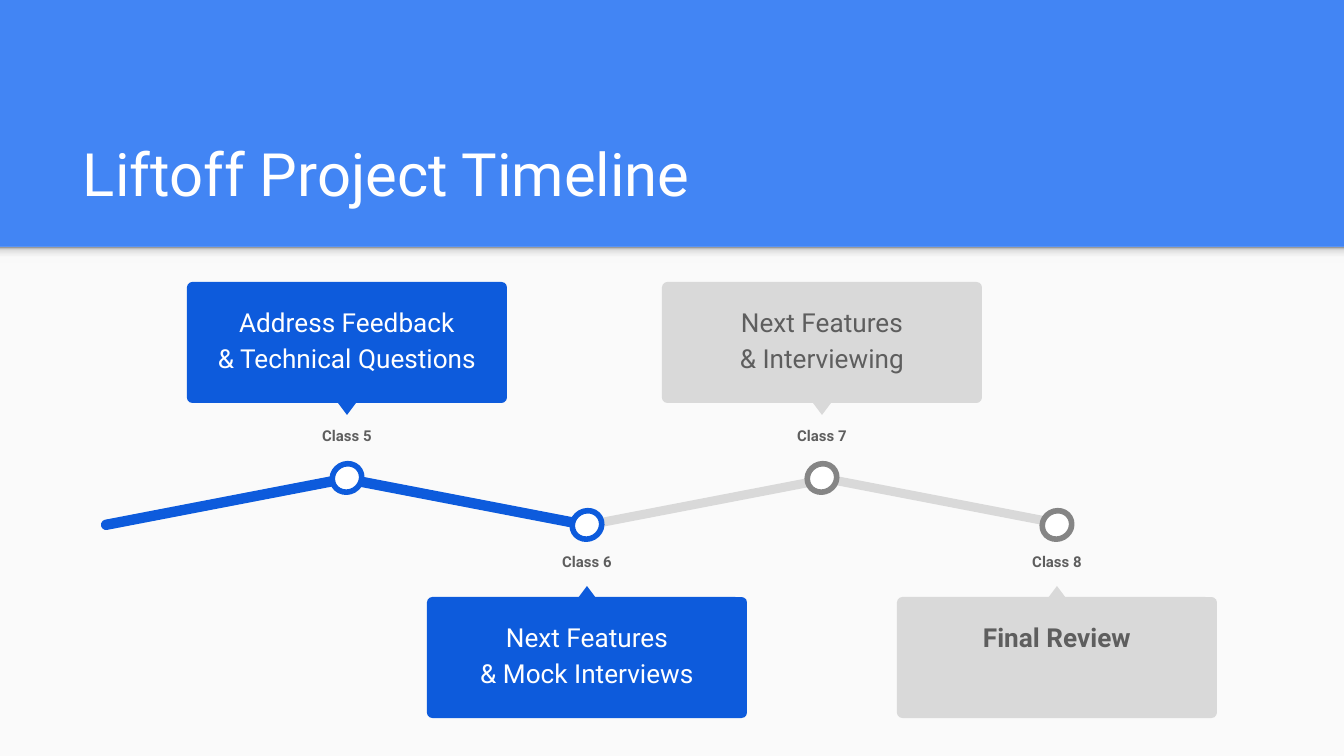
from typing import NamedTuple

from lxml.etree import SubElement
from pptx import Presentation
from pptx.dml.color import RGBColor
from pptx.enum.shapes import MSO_SHAPE as Kind
from pptx.enum.text import MSO_ANCHOR as Anchor, PP_ALIGN as Align
from pptx.oxml.ns import qn
from pptx.util import Emu, Pt

WIDE, HIGH = 1344, 756
SCALE = 9144000 / WIDE
BLUE, GRAY, DARK = "0D5BDC", "D9D9D9", "5E5E5E"
RING, WHITE, PAPER, SKY = "858585", "FFFFFF", "FAFAFA", "4285F4"
FONT = "Roboto"
BAND = 247
TILT = 10.9


class Stop(NamedTuple):
    name: str
    text: str
    x: int
    bar: int
    high: bool
    done: bool
    bold: bool = False


STOPS = [
    Stop("Class 5", "Address Feedback\v& Technical Questions", 347, 225, True, True),
    Stop("Class 6", "Next Features\v& Mock Interviews", 587, 466, False, True),
    Stop("Class 7", "Next Features\v& Interviewing", 822, 708, True, False),
    Stop("Class 8", "Final Review", 1057, 947, False, False, True),
]


def px(n: float) -> Emu:
    return Emu(round(n * SCALE))


def color(code: str) -> RGBColor:
    return RGBColor.from_string(code)


def draw(kind, x: float, y: float, w: int, h: int, fill: str,
         line: str = "", width: float = 0.75, turn: float = 0):
    shape = page.shapes.add_shape(kind, px(x), px(y), px(w), px(h))
    shape.shadow.inherit = False
    shape.rotation = turn
    shape.fill.solid()
    shape.fill.fore_color.rgb = color(fill)
    if line:
        shape.line.color.rgb = color(line)
        shape.line.width = Pt(width)
    else:
        shape.line.fill.background()
    return shape


def write(shape, text: str, size: int, ink: str, bold: bool = False,
          mid: bool = True, pad: tuple[int, int] = (13, 13)) -> None:
    frame = shape.text_frame
    frame.word_wrap = True
    frame.vertical_anchor = Anchor.TOP if mid else Anchor.BOTTOM
    frame.margin_left = frame.margin_right = px(pad[0])
    frame.margin_top = frame.margin_bottom = px(pad[1])
    para = frame.paragraphs[0]
    para.text = text
    para.alignment = Align.CENTER if mid else Align.LEFT
    if mid:
        para.line_spacing = 1.15
        para.space_after = Pt(16)
    font = para.font
    font.name, font.size, font.bold = FONT, Pt(size), bold
    font.color.rgb = color(ink)


def label(x: float, y: int, w: int, h: int):
    return page.shapes.add_textbox(px(x), px(y), px(w), px(h))


def shade() -> None:
    strip = draw(Kind.RECTANGLE, 0, BAND, WIDE, 16, PAPER)
    strip.fill.gradient()
    strip.fill.gradient_angle = 90
    stops = strip.fill._fill._gradFill.find(qn("a:gsLst"))
    for old in list(stops):
        stops.remove(old)
    for pos, code in [(0, "F9F9F9"), (36, "F9F9F9"), (80, "DEDEDE"), (100, "999999")]:
        node = SubElement(stops, qn("a:gs"), pos=str(pos * 1000))
        SubElement(node, qn("a:srgbClr"), val=code)


def bar(stop: Stop) -> None:
    w, h = 251, 9
    shape = draw(Kind.ROUNDED_RECTANGLE, stop.bar - w / 2, 502 - h / 2, w, h,
                 BLUE if stop.done else GRAY, BLUE if stop.done else "",
                 turn=-TILT if stop.high else TILT)
    shape.adjustments[0] = 0.5


def mark(stop: Stop) -> None:
    fill = BLUE if stop.done else GRAY
    dot, tag, top, tip = (478, 414, 282, 403) if stop.high else (525, 540, 597, 586)
    draw(Kind.OVAL, stop.x - 15, dot - 14, 30, 28, WHITE,
         BLUE if stop.done else RING, 3, 330)
    write(label(stop.x - 65, tag, 130, 47), stop.name, 8, DARK, True)
    card = draw(Kind.ROUNDED_RECTANGLE, stop.x - 160, top, 320, 121, fill)
    card.adjustments[0] = 0.045
    write(card, stop.text, 14, WHITE if stop.done else DARK, stop.bold, pad=(20, 18))
    draw(Kind.ISOSCELES_TRIANGLE, stop.x - 9, tip, 18, 12, fill,
         turn=180 if stop.high else 0)


deck = Presentation()
deck.slide_width, deck.slide_height = px(WIDE), px(HIGH)
page = deck.slides.add_slide(deck.slide_layouts[6])
back = page.background.fill
back.solid()
back.fore_color.rgb = color(SKY)
draw(Kind.RECTANGLE, 0, BAND, WIDE, HIGH - BAND, PAPER)
shade()
write(label(70, 109, 1208, 113), "Liftoff Project Timeline", 32, WHITE, mid=False)
for stop in reversed(STOPS):
    bar(stop)
for stop in STOPS:
    mark(stop)
deck.save("out.pptx")
